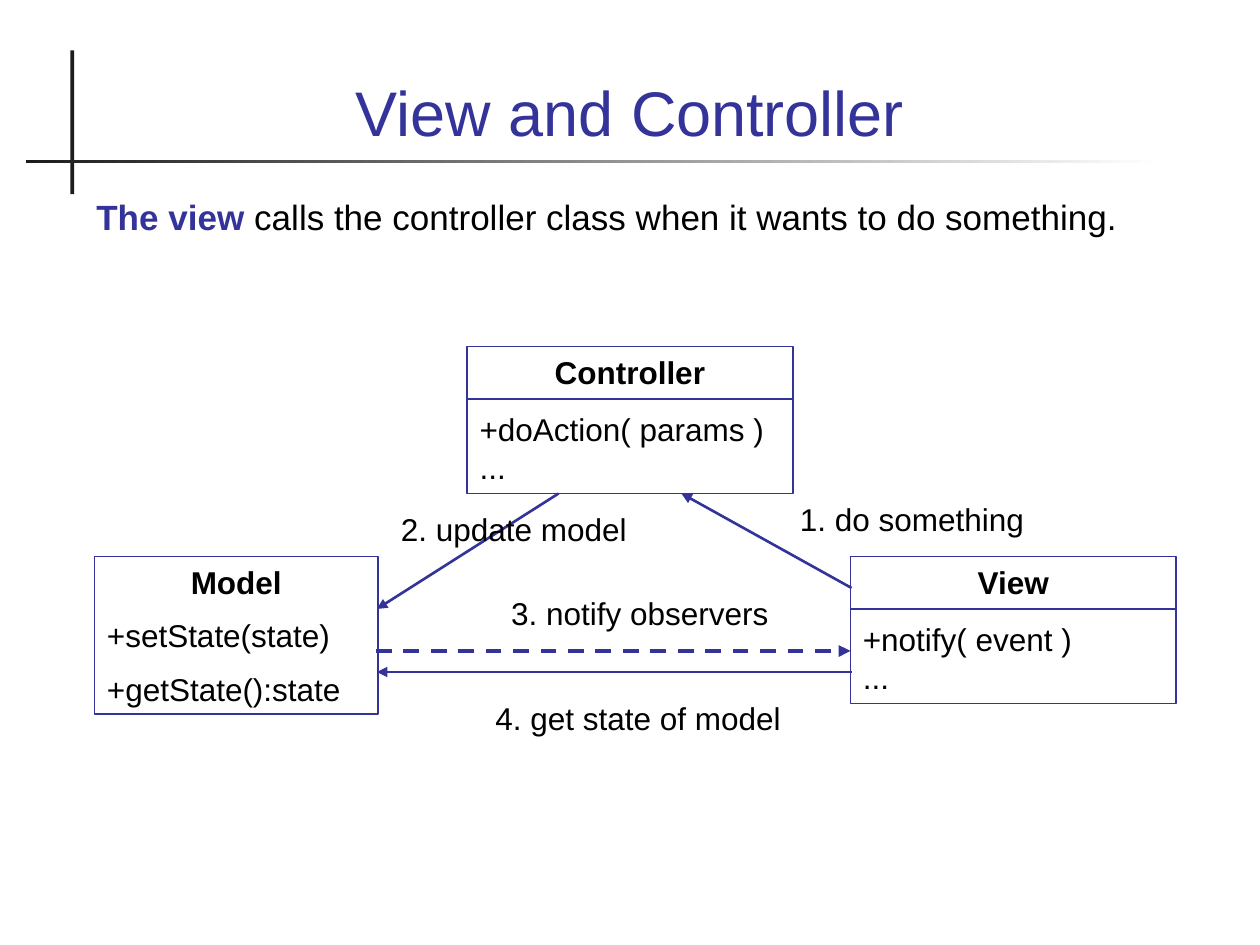
from lxml import etree
from pptx import Presentation
from pptx import util as u
from pptx.dml.color import RGBColor
from pptx.enum import dml, shapes, text
from pptx.oxml.ns import qn

COLORS = {"ink": "000000", "accent": "333399", "rule": "1C1C1C", "paper": "FFFFFF"}
FONT = "Arial"
CELL = u.Inches(1 / 12)
COLUMNS, ROWS = 120, 90


def cells(*values):
    return [u.Emu(round(value * CELL)) for value in values]


def rgb(name):
    return RGBColor.from_string(COLORS[name])


def add_run(paragraph, wording, size, color="ink", bold=False):
    run = paragraph.add_run()
    run.text = wording
    run.font.name = FONT
    run.font.size = u.Pt(size)
    run.font.bold = bold
    run.font.color.rgb = rgb(color)


def prepare_frame(frame, anchor=text.MSO_ANCHOR.TOP):
    frame.word_wrap = True
    frame.auto_size = text.MSO_AUTO_SIZE.NONE
    frame.vertical_anchor = anchor
    frame.margin_left = frame.margin_right = u.Inches(0.1)
    frame.margin_top = frame.margin_bottom = u.Inches(0.05)
    return frame


def add_line(slide, start, end, width=1, arrow=False, dashed=False):
    line = slide.shapes.add_connector(
        shapes.MSO_CONNECTOR.STRAIGHT, *cells(*start, *end))
    line.line.color.rgb = rgb("accent")
    line.line.width = u.Pt(width)
    outline = line.line._get_or_add_ln()
    if dashed:
        line.line.dash_style = dml.MSO_LINE.DASH
        outline.set("cap", "sq")
    if arrow:
        etree.SubElement(outline, qn("a:tailEnd"), type="triangle")
    etree.SubElement(line._element.spPr, qn("a:effectLst"))


def add_rules(slide, vertical, horizontal):
    for box in (vertical, horizontal):
        rule = slide.shapes.add_shape(shapes.MSO_SHAPE.RECTANGLE, *cells(*box))
        rule.shadow.inherit = False
        rule.line.fill.background()
        if box is vertical:
            rule.fill.solid()
            rule.fill.fore_color.rgb = rgb("rule")
        else:
            rule.fill.gradient()
            rule.fill.gradient_angle = 0
            for stop, color in zip(rule.fill.gradient_stops, ("rule", "paper")):
                stop.color.rgb = rgb(color)


def add_heading(slide, box, wording):
    title = slide.shapes.title
    title.left, title.top, title.width, title.height = cells(*box)
    frame = prepare_frame(title.text_frame, text.MSO_ANCHOR.BOTTOM)
    frame.paragraphs[0].alignment = text.PP_ALIGN.CENTER
    add_run(frame.paragraphs[0], wording, 36, "accent")


def add_text(slide, box, runs, size=18):
    label = slide.shapes.add_textbox(*cells(*box))
    paragraph = prepare_frame(label.text_frame).paragraphs[0]
    for wording, color, bold in runs:
        add_run(paragraph, wording, size, color, bold)


def add_class(slide, box, name, members, gaps, divided=True):
    left, top, width, height = box
    card = slide.shapes.add_shape(shapes.MSO_SHAPE.RECTANGLE, *cells(*box))
    card.shadow.inherit = False
    card.fill.background()
    card.line.color.rgb = rgb("accent")
    card.line.width = u.Pt(1)
    frame = prepare_frame(card.text_frame)
    frame.paragraphs[0].alignment = text.PP_ALIGN.CENTER
    add_run(frame.paragraphs[0], name, 18, bold=True)
    for member, gap in zip(members, gaps):
        paragraph = frame.add_paragraph()
        paragraph.alignment = text.PP_ALIGN.LEFT
        paragraph.space_before = u.Pt(gap)
        add_run(paragraph, member, 18)
    if divided:
        add_line(slide, (left, top + 5), (left + width, top + 5))


def add_diagram(slide, left, top):
    def at(column, row):
        return left + column, top + row

    add_class(slide, (*at(0, 20), 27, 15), "Model",
              ["+setState(state)", "+getState():state"], [9, 9], divided=False)
    add_class(slide, (*at(72, 20), 31, 14), "View",
              ["+notify( event )", "..."], [11.2, 0])
    add_class(slide, (*at(35.5, 0), 31, 14), "Controller",
              ["+doAction( params )", "..."], [11.2, 0])

    messages = [
        ("1. do something", (66, 14, 25), (72.1, 23), (55.9, 14), False),
        ("2. update model", (28, 15, 25), (44.2, 14), (26.9, 25), False),
        ("3. notify observers", (38.5, 23, 28.5), (27, 29), (72, 29), True),
        ("4. get state of model", (37, 33, 30.5), (72.1, 31), (26.9, 31), False),
    ]
    for wording, (column, row, width), start, end, dashed in messages:
        add_line(slide, at(*start), at(*end), 2.25 if dashed else 1.5, True, dashed)
        add_text(slide, (*at(column, row), width, 4.8), [(wording, "ink", False)])


def main():
    deck = Presentation()
    deck.slide_width, deck.slide_height = cells(COLUMNS, ROWS)
    slide = deck.slides.add_slide(deck.slide_layouts[5])
    add_rules(slide, (6.7, 4.8, 0.36, 13.7), (2.5, 15.2, 108, 0.36))
    add_heading(slide, (8, 3.4, 104, 11.4), "View and Controller")
    add_text(slide, (8, 18, 104, 11), [
        ("The view", "accent", True),
        (" calls the controller class when it wants to do something.", "ink", False),
    ], 20)
    add_diagram(slide, 9, 33)
    deck.save("out.pptx")


if __name__ == "__main__":
    main()
